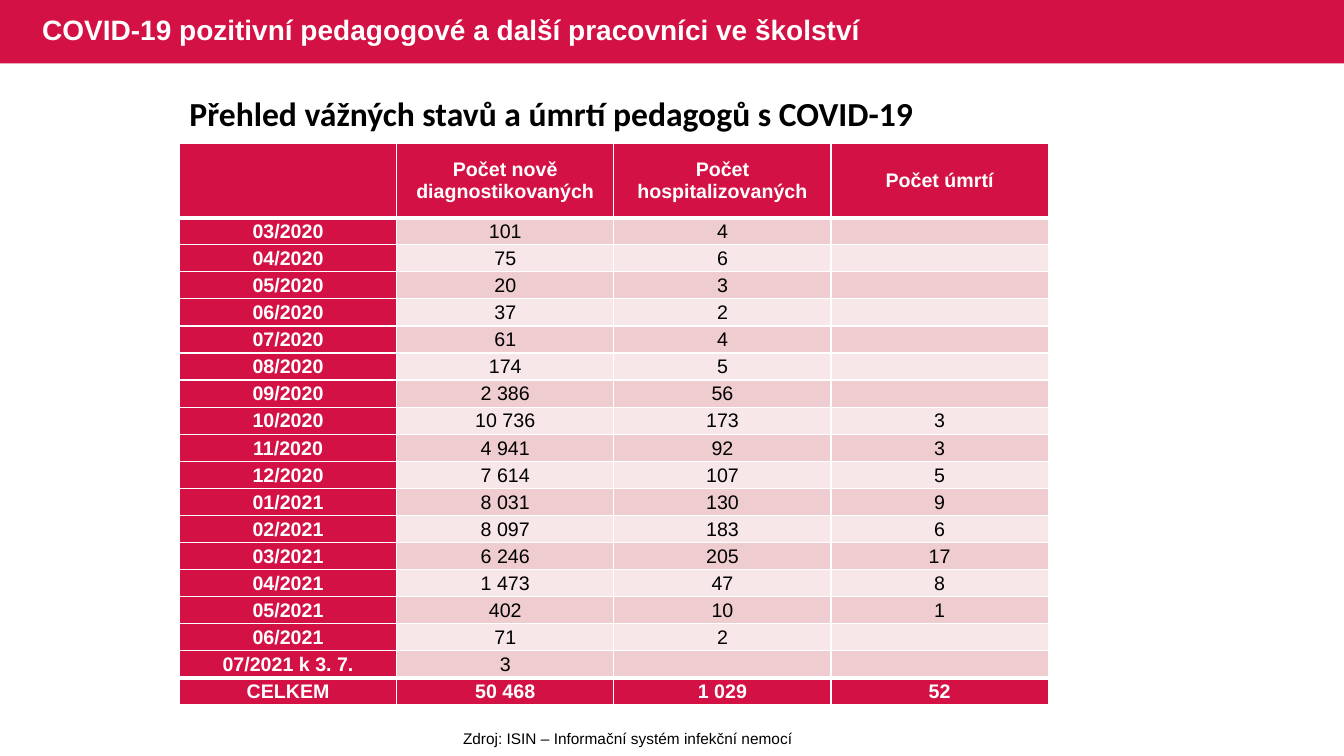
import lxml.etree
import pptx
import pptx.dml.color
import pptx.enum.shapes
import pptx.enum.text
import pptx.oxml.ns
import pptx.util

Pt = pptx.util.Pt
ALIGN = pptx.enum.text.PP_ALIGN
ANCHOR = pptx.enum.text.MSO_ANCHOR
COLORS = {
    "crimson": "D31145",
    "dark_band": "EFCCCF",
    "light_band": "F7E7E9",
    "white": "FFFFFF",
    "black": "000000",
}
HEADINGS = ["", "Počet nově diagnostikovaných", "Počet hospitalizovaných", "Počet úmrtí"]
MONTHS = [
    ["03/2020", "101", "4", ""],
    ["04/2020", "75", "6", ""],
    ["05/2020", "20", "3", ""],
    ["06/2020", "37", "2", ""],
    ["07/2020", "61", "4", ""],
    ["08/2020", "174", "5", ""],
    ["09/2020", "2 386", "56", ""],
    ["10/2020", "10 736", "173", "3"],
    ["11/2020", "4 941", "92", "3"],
    ["12/2020", "7 614", "107", "5"],
    ["01/2021", "8 031", "130", "9"],
    ["02/2021", "8 097", "183", "6"],
    ["03/2021", "6 246", "205", "17"],
    ["04/2021", "1 473", "47", "8"],
    ["05/2021", "402", "10", "1"],
    ["06/2021", "71", "2", ""],
    ["07/2021 k 3. 7.", "3", "", ""],
]
TOTALS = ["CELKEM", "50 468", "1 029", "52"]


def color(name):
    return pptx.dml.color.RGBColor.from_string(COLORS[name])


def write(frame, text, size=14, font="Arial", ink="black", bold=False,
          align=ALIGN.LEFT, anchor=ANCHOR.TOP, spacing=None):
    frame.word_wrap = True
    frame.vertical_anchor = anchor
    para = frame.paragraphs[0]
    para.alignment = align
    para.line_spacing = spacing
    if not text:
        end = lxml.etree.SubElement(para._p, pptx.oxml.ns.qn("a:endParaRPr"))
        end.set("sz", str(size * 100))
        return
    span = para.add_run()
    span.text = text
    span.font.size = Pt(size)
    span.font.name = font
    span.font.bold = bold
    span.font.color.rgb = color(ink)


class SlideBuilder:
    """Draws styled elements on the current slide."""

    def __init__(self, slide):
        self.slide = slide
        self.accent = "crimson"
        self.bands = ["dark_band", "light_band"]
        self.rule = "white"

    def bar(self, left, top, width, height):
        bar = self.slide.shapes.add_shape(
            pptx.enum.shapes.MSO_SHAPE.RECTANGLE, Pt(left), Pt(top), Pt(width), Pt(height))
        bar.shadow.inherit = False
        bar.fill.solid()
        bar.fill.fore_color.rgb = color(self.accent)
        bar.line.fill.background()

    def text(self, left, top, width, height, text, **style):
        box = self.slide.shapes.add_textbox(Pt(left), Pt(top), Pt(width), Pt(height))
        write(box.text_frame, text, **style)

    def border(self, cell, side, weight):
        properties = cell._tc.get_or_add_tcPr()
        line = lxml.etree.SubElement(properties, pptx.oxml.ns.qn("a:ln" + side))
        line.set("w", str(Pt(weight)))
        fill = lxml.etree.SubElement(line, pptx.oxml.ns.qn("a:solidFill"))
        lxml.etree.SubElement(fill, pptx.oxml.ns.qn("a:srgbClr")).set("val", COLORS[self.rule])

    def cell(self, cell, text, fill, strong, top, bottom):
        cell.margin_left = cell.margin_right = cell.margin_top = Pt(0.7)
        cell.margin_bottom = Pt(0)
        cell.vertical_anchor = ANCHOR.MIDDLE
        for side, weight in {"L": 1, "R": 1, "T": top, "B": bottom}.items():
            self.border(cell, side, weight)
        cell.fill.solid()
        cell.fill.fore_color.rgb = color(fill)
        write(cell.text_frame, text, ink="white" if strong else "black", bold=strong,
              align=ALIGN.CENTER, anchor=None)

    def table(self, left, top, width, heading_height, row_height, rows):
        last = len(rows) - 1
        columns = len(rows[0])
        frame = self.slide.shapes.add_table(
            len(rows), columns, Pt(left), Pt(top), Pt(width),
            Pt(heading_height + row_height * last))
        table = frame.table
        for column in table.columns:
            column.width = Pt(width / columns)
        for r, values in enumerate(rows):
            table.rows[r].height = Pt(row_height if r else heading_height)
            for c, value in enumerate(values):
                strong = r in (0, last) or c == 0
                fill = self.accent if strong else self.bands[(r - 1) % 2]
                self.cell(table.cell(r, c), value, fill, strong,
                          top=3 if r in (1, last) else 1,
                          bottom=3 if r in (0, last - 1) else 1)


def main():
    deck = pptx.Presentation()
    deck.slide_width = Pt(960)
    deck.slide_height = Pt(540)
    page = SlideBuilder(deck.slides.add_slide(deck.slide_layouts[6]))
    page.bar(0, 0, 960, 45.2)
    page.text(23, 0, 613.4, 45.2, "COVID-19 pozitivní pedagogové a další pracovníci ve školství",
              size=20, ink="white", bold=True, anchor=ANCHOR.MIDDLE, spacing=0.9)
    page.text(128.2, 62.6, 620.6, 65.5, "Přehled vážných stavů a úmrtí pedagogů s COVID-19",
              size=24, font="Calibri", bold=True)
    page.text(169.9, 517, 557.3, 20.9, "Zdroj: ISIN – Informační systém infekční nemocí",
              size=11, align=ALIGN.CENTER)
    page.table(128.2, 102.5, 620.6, 53, 19.36, [HEADINGS, *MONTHS, TOTALS])
    deck.save("out.pptx")


if __name__ == "__main__":
    main()
